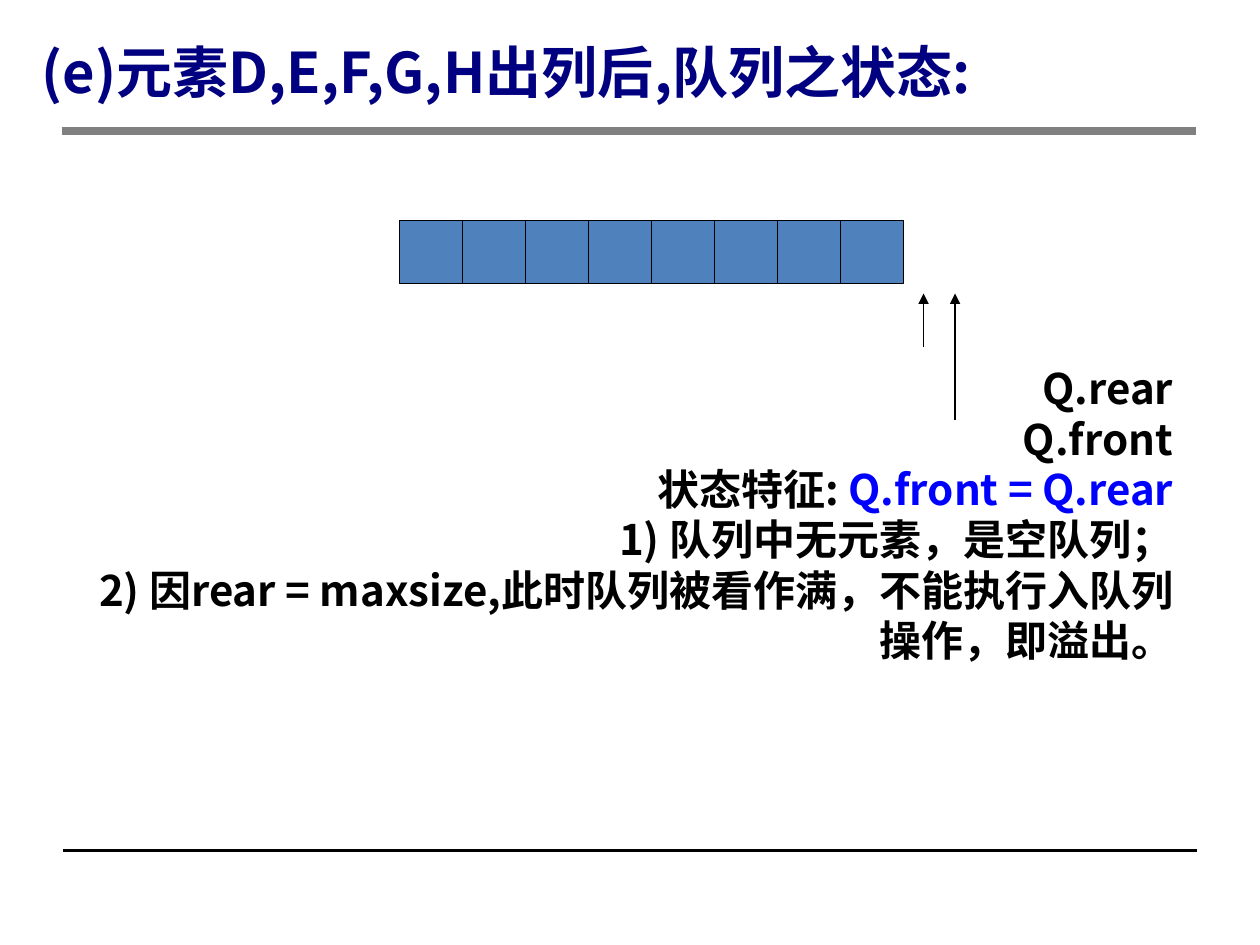
from dataclasses import dataclass
from typing import Optional

from lxml import etree
from pptx import Presentation
from pptx import util as u
from pptx.dml.color import RGBColor
from pptx.enum import shapes, text
from pptx.oxml.ns import qn


@dataclass(frozen=True)
class Theme:
    font: str = "Noto Sans CJK SC"
    black: str = "000000"
    grey: str = "808080"
    navy: str = "000080"
    blue: str = "0000FF"
    cell: str = "4F81BD"
    title_size: float = 32
    title_leading: float = 40
    body_size: float = 24
    thin: float = 0.75


@dataclass(frozen=True)
class Line:
    start: tuple[float, float]
    end: tuple[float, float]
    color: str
    width: float
    arrow: bool = False


@dataclass(frozen=True)
class Span:
    words: str
    color: str


@dataclass(frozen=True)
class Para:
    spans: tuple[Span, ...]
    left: float = 0
    hanging: float = 0


@dataclass(frozen=True)
class TextArea:
    frame: tuple[float, float, float, float]
    paras: tuple[Para, ...]
    size: float
    align: text.PP_ALIGN
    anchor: text.MSO_ANCHOR
    leading: Optional[float] = None


THEME = Theme()

# Queue grid: half-inch columns
COLUMNS, CELL = 8, 0.5
QUEUE_LEFT, QUEUE_TOP = 3.17, 1.75
QUEUE_RIGHT = QUEUE_LEFT + COLUMNS * CELL
POINTER_TIP = 2.33

RULES = (
    Line((0.5, 6.75), (9.5, 6.75), THEME.black, 2),
    Line((0.49, 1.04), (9.49, 1.04), THEME.grey, 5),
)
POINTERS = tuple(
    Line((QUEUE_RIGHT + gap, tail), (QUEUE_RIGHT + gap, POINTER_TIP), THEME.black, THEME.thin, True)
    for gap, tail in ((0.16, 2.75), (0.41, 3.33))
)
TITLE = TextArea(
    (0.23, 0.25, 8.11, 0.6),
    (Para((Span("(e)元素D,E,F,G,H出列后,队列之状态:", THEME.navy),)),),
    THEME.title_size, text.PP_ALIGN.LEFT, text.MSO_ANCHOR.MIDDLE, THEME.title_leading,
)
BODY = TextArea(
    (0.23, 2.83, 9.18, 3.33),
    (
        Para((Span("Q.rear", THEME.black),)),
        Para((Span("Q.front", THEME.black),)),
        Para((Span("状态特征: ", THEME.black), Span("Q.front = Q.rear", THEME.blue))),
        Para((Span("1) 队列中无元素，是空队列；", THEME.black),)),
        Para(
            (Span("2) 因rear = maxsize,此时队列被看作满，不能执行入队列操作，即溢出。", THEME.black),),
            left=0.59, hanging=0.3,
        ),
    ),
    THEME.body_size, text.PP_ALIGN.RIGHT, text.MSO_ANCHOR.TOP,
)


def draw_line(page, line: Line) -> None:
    ends = [u.Inches(value) for value in (*line.start, *line.end)]
    connector = page.shapes.add_connector(shapes.MSO_CONNECTOR.STRAIGHT, *ends)
    connector.line.color.rgb = RGBColor.from_string(line.color)
    connector.line.width = u.Pt(line.width)
    if line.arrow:
        etree.SubElement(connector.line._get_or_add_ln(), qn("a:tailEnd"), type="triangle")
    etree.SubElement(connector._element.spPr, qn("a:effectLst"))


def draw_cell(page, column: int) -> None:
    box = page.shapes.add_shape(
        shapes.MSO_SHAPE.RECTANGLE,
        u.Inches(QUEUE_LEFT + column * CELL), u.Inches(QUEUE_TOP), u.Inches(CELL), u.Inches(CELL),
    )
    box.shadow.inherit = False
    box.fill.solid()
    box.fill.fore_color.rgb = RGBColor.from_string(THEME.cell)
    box.line.color.rgb = RGBColor.from_string(THEME.black)
    box.line.width = u.Pt(THEME.thin)


def draw_text(page, area: TextArea) -> None:
    box = page.shapes.add_textbox(*(u.Inches(value) for value in area.frame))
    frame = box.text_frame
    frame.word_wrap = True
    frame.vertical_anchor = area.anchor
    for index, para in enumerate(area.paras):
        paragraph = frame.add_paragraph() if index else frame.paragraphs[0]
        paragraph.alignment = area.align
        if area.leading:
            paragraph.line_spacing = u.Pt(area.leading)
        if para.left:
            properties = paragraph._p.get_or_add_pPr()
            properties.set("marL", str(u.Inches(para.left)))
            properties.set("indent", str(-u.Inches(para.hanging)))
        for span in para.spans:
            run = paragraph.add_run()
            run.text = span.words
            run.font.size = u.Pt(area.size)
            run.font.bold = True
            run.font.color.rgb = RGBColor.from_string(span.color)
            run.font.name = THEME.font
            etree.SubElement(run.font._element, qn("a:ea"), typeface=THEME.font)


def main() -> None:
    deck = Presentation()
    deck.slide_width, deck.slide_height = u.Inches(10), u.Inches(7.5)
    page = deck.slides.add_slide(deck.slide_layouts[6])

    # Page rules and explanation
    for rule in RULES:
        draw_line(page, rule)
    draw_text(page, BODY)

    # Empty queue with its two pointers
    for column in range(COLUMNS):
        draw_cell(page, column)
    for pointer in POINTERS:
        draw_line(page, pointer)

    # Heading
    draw_text(page, TITLE)
    deck.save("out.pptx")


if __name__ == "__main__":
    main()
